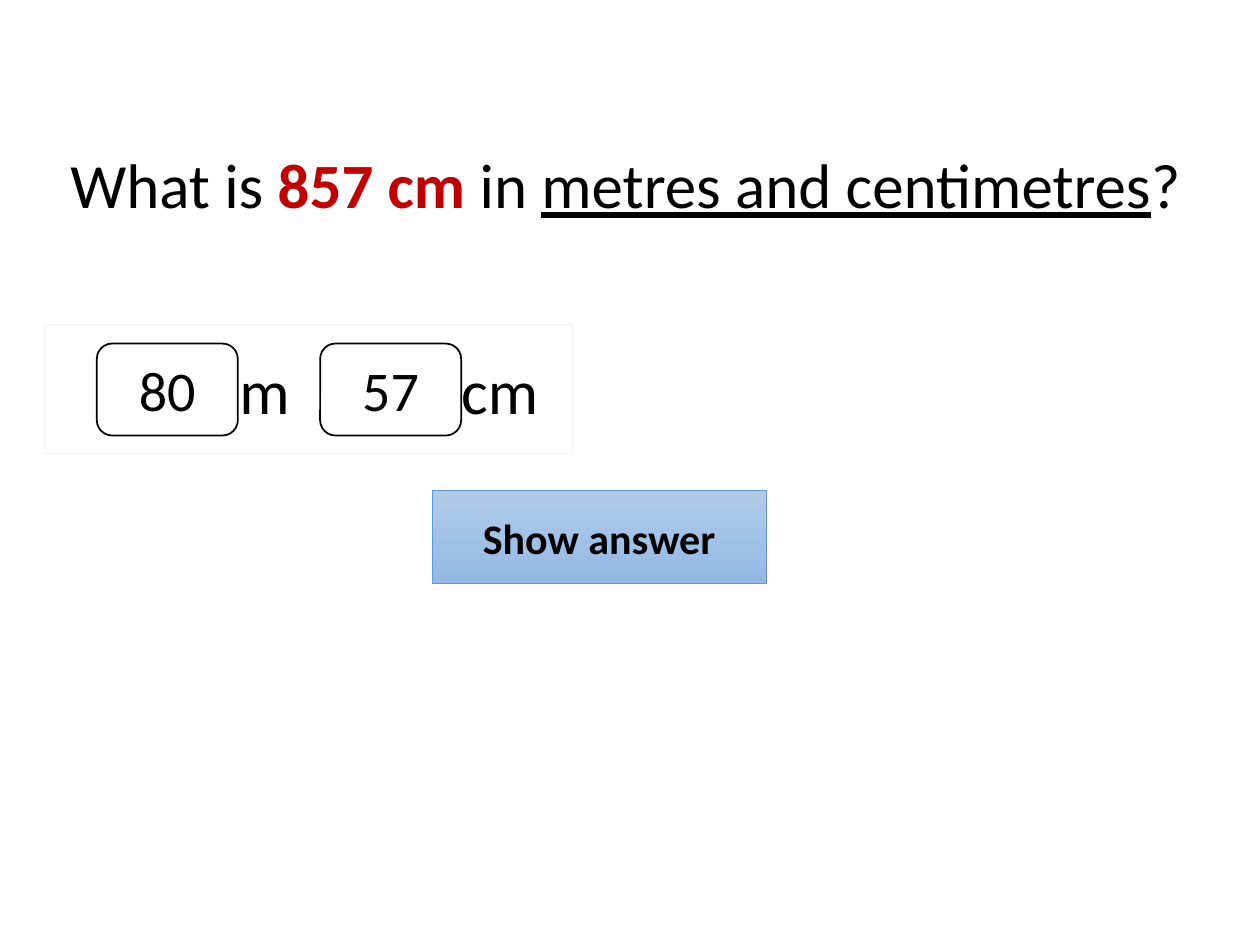
from dataclasses import dataclass

from lxml import etree
from pptx import Presentation
from pptx import util as u
from pptx.dml.color import RGBColor
from pptx.enum import shapes, text
from pptx.oxml.ns import qn


@dataclass(frozen=True)
class Theme:
    font: str = "Calibri"
    ink: str = "000000"
    accent: str = "C00000"
    paper: str = "FFFFFF"
    panel_line: str = "F2F2F2"
    button_line: str = "5B9BD5"
    button_fill: tuple = ("B1CBE9", "93B9E4")
    question_size: int = 36
    number_size: int = 32
    button_size: int = 24


@dataclass(frozen=True)
class Box:
    """A rectangle in inches."""
    left: float
    top: float
    width: float
    height: float

    def emu(self):
        return [u.Inches(v) for v in (self.left, self.top, self.width, self.height)]

    def inner(self, left, top, width, height):
        """The part of this box given by shares of its size."""
        return Box(self.left + left * self.width, self.top + top * self.height,
                   width * self.width, height * self.height)


THEME = Theme()
PAGE = Box(0, 0, 10, 7.5)


def color(value):
    return RGBColor.from_string(value)


def style_run(run, size, ink=THEME.ink, bold=False, underline=False):
    font = run.font
    font.name, font.size = THEME.font, u.Pt(size)
    font.bold, font.underline = bold, underline
    font.color.rgb = color(ink)


def add_box(slide, kind, box, line, line_width, label, size, bold=False):
    """An outlined, unfilled shape with a centred label."""
    shape = slide.shapes.add_shape(kind, *box.emu())
    shape.shadow.inherit = False
    shape.fill.background()
    shape.line.color.rgb = color(line)
    shape.line.width = u.Pt(line_width)
    frame = shape.text_frame
    frame.text = label
    frame.vertical_anchor = text.MSO_ANCHOR.MIDDLE
    paragraph = frame.paragraphs[0]
    paragraph.alignment = text.PP_ALIGN.CENTER
    style_run(paragraph.runs[0], size, bold=bold)
    return shape


def add_question(slide, box):
    frame = slide.shapes.add_textbox(*box.emu()).text_frame
    frame.word_wrap = False
    frame.auto_size = text.MSO_AUTO_SIZE.SHAPE_TO_FIT_TEXT
    parts = [("What is ", {}),
             ("857 cm ", {"ink": THEME.accent, "bold": True}),
             ("in ", {}),
             ("metres and centimetres", {"underline": True}),
             ("?", {})]
    for wording, style in parts:
        run = frame.paragraphs[0].add_run()
        run.text = wording
        style_run(run, THEME.question_size, **style)


def add_answer(slide, box):
    # Panel with the units on tab stops
    panel = add_box(slide, shapes.MSO_SHAPE.RECTANGLE, box, THEME.panel_line, 0.5,
                    "\tm\tcm", THEME.question_size)
    panel.text_frame.margin_left = 0
    paragraph = panel.text_frame.paragraphs[0]
    paragraph.alignment = text.PP_ALIGN.LEFT
    tabs = etree.SubElement(paragraph._p.get_or_add_pPr(), qn("a:tabLst"))
    for share in (0.37, 0.79):
        etree.SubElement(tabs, qn("a:tab"), algn="l",
                         pos=str(u.Inches(share * box.width)))

    # Number fields, one before each unit
    for column, number in enumerate(("80", "57")):
        field = add_box(slide, shapes.MSO_SHAPE.ROUNDED_RECTANGLE,
                        box.inner(0.1 + 0.423 * column, 0.15, 0.267, 0.71),
                        THEME.ink, 1, number, THEME.number_size)
        field.fill.solid()
        field.fill.fore_color.rgb = color(THEME.paper)


def add_button(slide, box):
    button = add_box(slide, shapes.MSO_SHAPE.RECTANGLE, box, THEME.button_line, 0.5,
                     "Show answer", THEME.button_size, bold=True)
    button.fill.gradient()
    button.fill.gradient_angle = 270
    for stop, shade in zip(button.fill.gradient_stops, THEME.button_fill):
        stop.color.rgb = color(shade)


def main():
    presentation = Presentation()
    presentation.slide_width = u.Inches(PAGE.width)
    presentation.slide_height = u.Inches(PAGE.height)
    slide = presentation.slides.add_slide(presentation.slide_layouts[6])

    add_answer(slide, PAGE.inner(0.035, 0.343, 0.419, 0.137))
    add_question(slide, PAGE.inner(0.046, 0.148, 0.908, 0.095))
    add_button(slide, PAGE.inner(0.343, 0.519, 0.265, 0.099))

    presentation.save("out.pptx")


if __name__ == "__main__":
    main()
